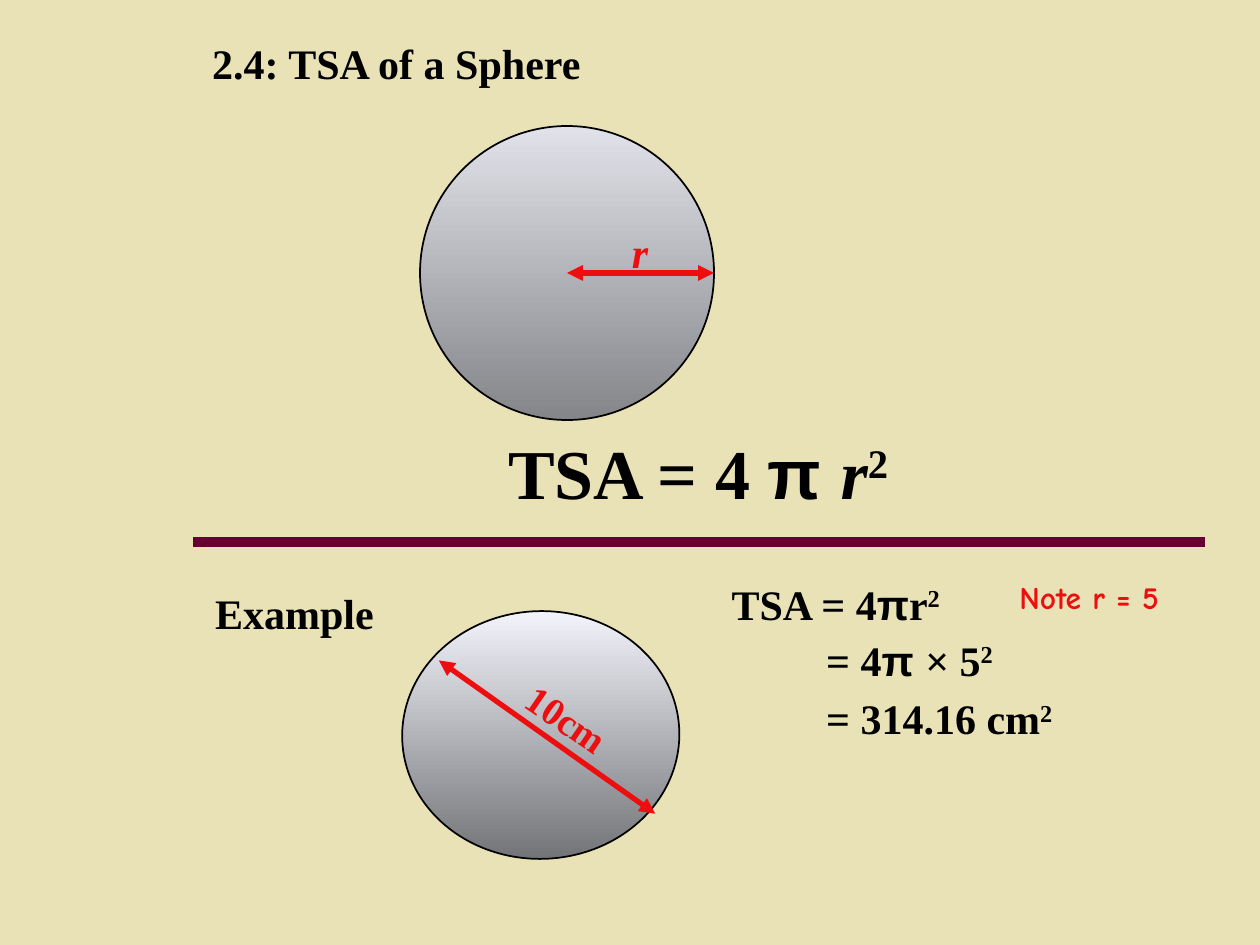
from dataclasses import dataclass

import lxml.etree
import pptx
import pptx.dml.color
import pptx.enum.dml
import pptx.enum.shapes
import pptx.enum.text
import pptx.oxml.ns
import pptx.util

# The slide is a grid of 120 columns by 90 rows
COLUMNS, ROWS = 120, 90
SERIF, SANS, COMIC = "Times New Roman", "Arial", "Comic Neue"
BLACK, RED, PLUM, SAND = "000000", "ED0F0F", "660033", "E9E2B6"
SPHERE_LIGHT, SPHERE_DARK = "F5F6FD", "717275"
EQUALS_INDENT = 9


@dataclass
class Box:
    col: float
    row: float
    cols: float
    rows: float
    rotation: float = 0


@dataclass
class Piece:
    text: str
    font: str = ""
    italic: bool = False
    raised: bool = False


@dataclass
class Label:
    box: Box
    pieces: list[Piece]
    size: float = 24
    color: str = BLACK
    font: str = SERIF
    indent: float = 0
    centered: bool = False


@dataclass
class Line:
    start: tuple[float, float]
    end: tuple[float, float]
    color: str = RED
    width: float = 3
    arrows: bool = True


@dataclass
class Sphere:
    ball: Box
    measure: Label
    arrow: Line


deck = pptx.Presentation()
deck.slide_width, deck.slide_height = pptx.util.Inches(10), pptx.util.Inches(7.5)


def across(cols: float) -> int:
    return round(deck.slide_width * cols / COLUMNS)


def down(rows: float) -> int:
    return round(deck.slide_height * rows / ROWS)


def rgb(color: str) -> pptx.dml.color.RGBColor:
    return pptx.dml.color.RGBColor.from_string(color)


def place(shape, box: Box) -> None:
    shape.left, shape.top = across(box.col), down(box.row)
    shape.width, shape.height = across(box.cols), down(box.rows)
    shape.rotation = box.rotation


def write(shape, label: Label) -> None:
    place(shape, label.box)
    frame = shape.text_frame
    frame.word_wrap = True
    frame.auto_size = pptx.enum.text.MSO_AUTO_SIZE.SHAPE_TO_FIT_TEXT
    frame.vertical_anchor = pptx.enum.text.MSO_ANCHOR.TOP
    paragraph = frame.paragraphs[0]
    align = pptx.enum.text.PP_ALIGN
    paragraph.alignment = align.CENTER if label.centered else align.LEFT
    if label.indent:
        properties = paragraph._p.get_or_add_pPr()
        properties.set("marL", str(across(label.indent)))
        properties.set("indent", "0")
    font = paragraph.font
    font.name, font.size, font.bold = label.font, pptx.util.Pt(label.size), True
    font.color.rgb = rgb(label.color)
    for piece in label.pieces:
        run = paragraph.add_run()
        run.text = piece.text
        if piece.font:
            run.font.name = piece.font
        if piece.italic:
            run.font.italic = True
        if piece.raised:
            run._r.get_or_add_rPr().set("baseline", "30000")


def add_label(shapes, label: Label) -> None:
    write(shapes.add_textbox(0, 0, 0, 0), label)


def add_line(shapes, line: Line) -> None:
    connector = shapes.add_connector(
        pptx.enum.shapes.MSO_CONNECTOR.STRAIGHT,
        across(line.start[0]), down(line.start[1]),
        across(line.end[0]), down(line.end[1]))
    connector.line.color.rgb = rgb(line.color)
    connector.line.width = pptx.util.Pt(line.width)
    qn = pptx.oxml.ns.qn
    if line.arrows:
        outline = connector.line._get_or_add_ln()
        for end in ("a:headEnd", "a:tailEnd"):
            lxml.etree.SubElement(outline, qn(end), type="triangle")
    lxml.etree.SubElement(connector._element.spPr, qn("a:effectLst"))


def add_sphere(shapes, sphere: Sphere) -> None:
    group = shapes.add_group_shape().shapes
    ball = group.add_shape(pptx.enum.shapes.MSO_SHAPE.OVAL, 0, 0, 0, 0)
    place(ball, sphere.ball)
    ball.shadow.inherit = False
    ball.fill.gradient()
    ball.fill.gradient_angle = 270
    for stop, color in zip(ball.fill.gradient_stops, (SPHERE_LIGHT, SPHERE_DARK)):
        stop.color.rgb = rgb(color)
    # Shading stays upright while the ball is turned
    gradient = ball._element.spPr.find(pptx.oxml.ns.qn("a:gradFill"))
    gradient.set("rotWithShape", "0")
    ball.line.color.rgb = rgb(BLACK)
    ball.line.width = pptx.util.Pt(1)
    add_label(group, sphere.measure)
    add_line(group, sphere.arrow)


SQUARED = Piece("2", raised=True)
HEADING = Label(Box(19, 3, 38, 6), [Piece("2.4: TSA of a Sphere")])
SPHERES = [
    Sphere(Box(40, 12, 28, 28, 53.9),
           Label(Box(59, 21, 8, 6), [Piece("r", italic=True)], color=RED),
           Line((54, 26), (68, 26))),
    Sphere(Box(39.7, 56.8, 23.6, 26.4, 88.4),
           Label(Box(48.6, 65.8, 11.2, 5.6, 34.4), [Piece("10cm")], 22, RED),
           Line((41.8, 62.9), (62.4, 77.5))),
]
DIVIDER = Line((18.4, 51.6), (114.8, 51.6), PLUM, 6, arrows=False)
LABELS = [
    # Formula
    Label(Box(29, 40.3, 75, 9.2),
          [Piece("TSA = 4 "), Piece("π ", SANS), Piece("r", italic=True), SQUARED],
          size=40, centered=True),
    # Worked example
    Label(Box(19.3, 55.4, 18.8, 6), [Piece("Example")]),
    Label(Box(68.5, 54.5, 24.6, 6),
          [Piece("TSA = 4"), Piece("π", SANS), Piece("r"), SQUARED]),
    Label(Box(95.9, 54.5, 21.7, 4.8), [Piece("Note r = 5")], 18, RED, COMIC),
    Label(Box(68.5, 59.8, 28.3, 6),
          [Piece("= 4"), Piece("π ", SANS), Piece("× 5"), SQUARED],
          indent=EQUALS_INDENT),
    Label(Box(68.5, 65.4, 36.8, 6), [Piece("= 314.16 cm"), SQUARED],
          indent=EQUALS_INDENT),
]


def main() -> None:
    slide = deck.slides.add_slide(deck.slide_layouts.get_by_name("Title Only"))
    slide.background.fill.solid()
    slide.background.fill.fore_color.rgb = rgb(SAND)
    write(slide.shapes.title, HEADING)
    for sphere in SPHERES:
        add_sphere(slide.shapes, sphere)
    add_line(slide.shapes, DIVIDER)
    for label in LABELS:
        add_label(slide.shapes, label)
    deck.save("out.pptx")


if __name__ == "__main__":
    main()
